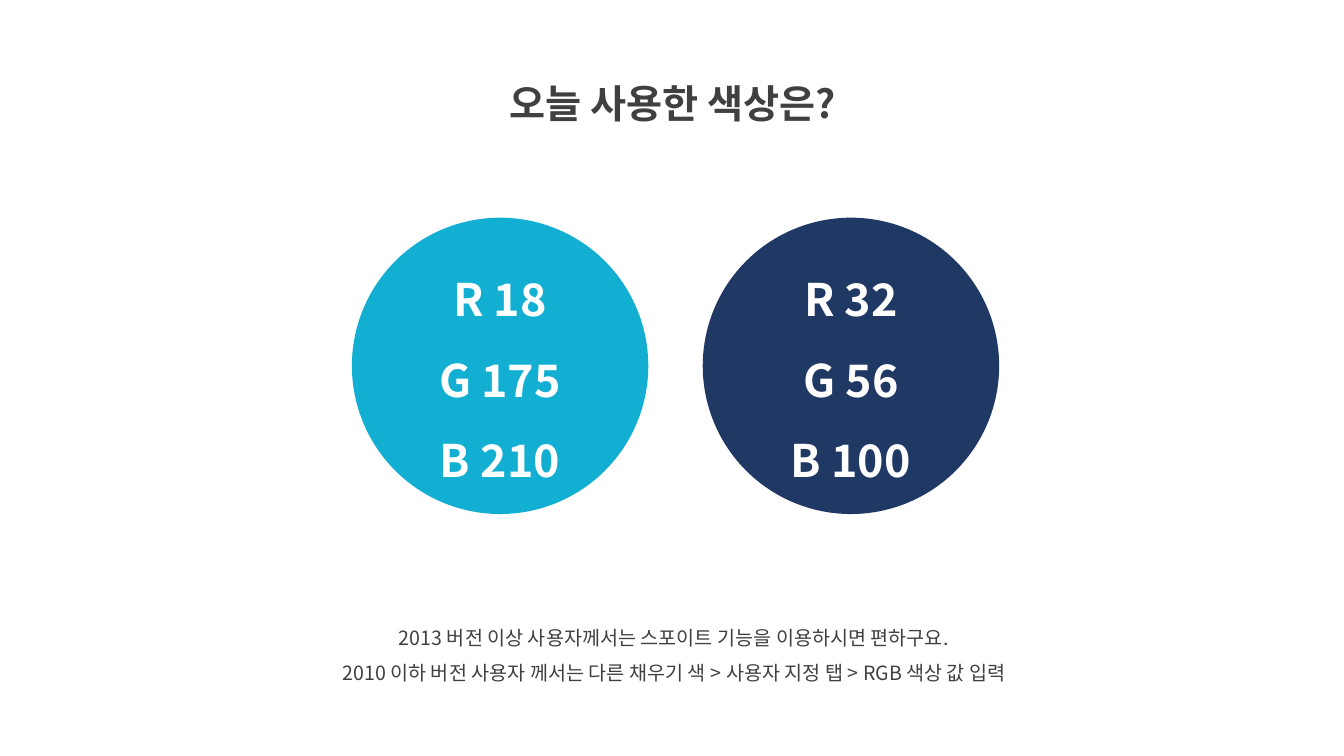
"""Build a slide that lists the RGB values of the two colours used in a deck."""
import pptx
import pptx.dml.color
import pptx.enum.shapes
import pptx.enum.text
import pptx.oxml.ns
import pptx.util
from dataclasses import dataclass
from lxml import etree

TITLE = "오늘 사용한 색상은?"
NOTES = [
    "2013 버전 이상 사용자께서는 스포이트 기능을 이용하시면 편하구요.",
    "2010 이하 버전 사용자 께서는 다른 채우기 색 > 사용자 지정 탭 > RGB 색상 값 입력",
]
SWATCHES = [(18, 175, 210), (32, 56, 100)]

PAGE_SIZE = (1333, 750)
TITLE_BOX = (436, 50, 463, 72)
NOTES_BOX = (269, 604, 799, 81)
CIRCLE_LEFT, CIRCLE_TOP, CIRCLE_SIZE, CIRCLE_STEP = 349, 216, 294, 348


@dataclass(frozen=True)
class Theme:
    """Font, colours and type sizes."""
    font: str = "Noto Sans CJK KR"
    ink: tuple = (64, 64, 64)
    white: tuple = (255, 255, 255)
    title_size: int = 28
    value_size: int = 32
    note_size: int = 14
    line_spacing: float = 1.5


THEME = Theme()


def px(length):
    """Turn px into EMU at 100 px to the inch."""
    return pptx.util.Emu(length * 9144)


def write(box, lines, size, color, bold, anchor):
    """Fill a shape with centred paragraphs in one style."""
    frame = box.text_frame
    frame.text = "\n".join(lines)
    frame.word_wrap = True
    frame.auto_size = pptx.enum.text.MSO_AUTO_SIZE.NONE
    frame.vertical_anchor = anchor
    for para in frame.paragraphs:
        para.alignment = pptx.enum.text.PP_ALIGN.CENTER
        para.line_spacing = THEME.line_spacing
        para.space_before = pptx.util.Pt(0)
        font = para.font
        font.name = THEME.font
        font.size = pptx.util.Pt(size)
        font.bold = bold
        font.color.rgb = pptx.dml.color.RGBColor(*color)
        latin = para._p.pPr.find(".//" + pptx.oxml.ns.qn("a:latin"))
        east_asian = etree.Element(pptx.oxml.ns.qn("a:ea"), typeface=THEME.font)
        latin.addnext(east_asian)


def place(box, bounds):
    """Move and size a placeholder."""
    box.left, box.top, box.width, box.height = map(px, bounds)


def remove_bullets(box):
    """Clear bullets and indents from every paragraph."""
    for para in box.text_frame.paragraphs:
        properties = para._p.get_or_add_pPr()
        properties.set("marL", "0")
        properties.set("indent", "0")
        defaults = properties.find(pptx.oxml.ns.qn("a:defRPr"))
        defaults.addprevious(etree.Element(pptx.oxml.ns.qn("a:buNone")))


def add_swatch(page, index, color):
    """Draw one circle with its RGB values."""
    circle = page.shapes.add_shape(
        pptx.enum.shapes.MSO_SHAPE.OVAL,
        px(CIRCLE_LEFT + index * CIRCLE_STEP), px(CIRCLE_TOP),
        px(CIRCLE_SIZE), px(CIRCLE_SIZE))
    circle.shadow.inherit = False
    circle.fill.solid()
    circle.fill.fore_color.rgb = pptx.dml.color.RGBColor(*color)
    circle.line.fill.background()
    values = [f"{channel} {value}" for channel, value in zip("RGB", color)]
    write(circle, values, THEME.value_size, THEME.white, True,
          pptx.enum.text.MSO_ANCHOR.MIDDLE)


def main():
    """Lay out the slide and save it."""
    deck = pptx.Presentation()
    deck.slide_width, deck.slide_height = map(px, PAGE_SIZE)
    page = deck.slides.add_slide(deck.slide_layouts[1])
    title, notes = page.placeholders
    top = pptx.enum.text.MSO_ANCHOR.TOP
    place(title, TITLE_BOX)
    write(title, [TITLE], THEME.title_size, THEME.ink, True, top)
    place(notes, NOTES_BOX)
    write(notes, NOTES, THEME.note_size, THEME.ink, False, top)
    remove_bullets(notes)
    for index, color in enumerate(SWATCHES):
        add_swatch(page, index, color)
    deck.save("out.pptx")


if __name__ == "__main__":
    main()
